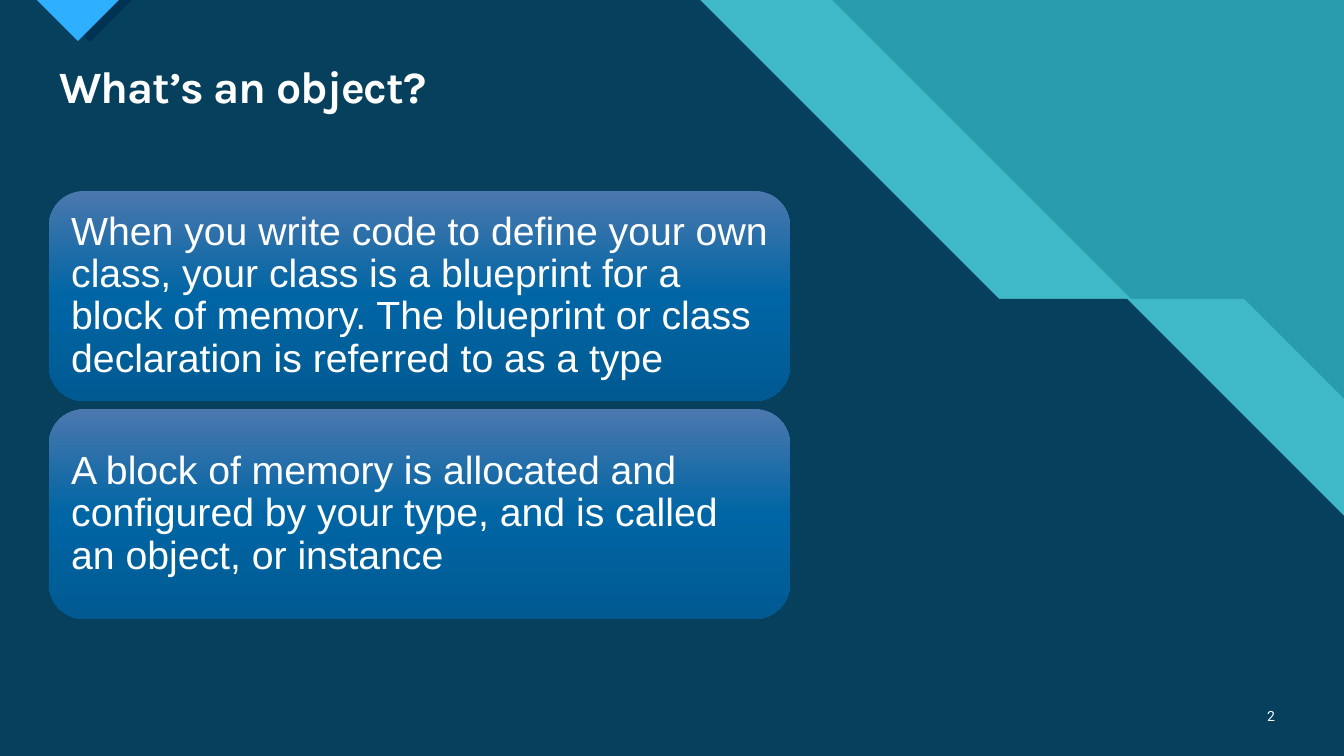
import lxml.etree
import pptx
import pptx.dml.color
import pptx.enum.shapes
import pptx.enum.text
import pptx.oxml
import pptx.oxml.ns
import pptx.util

RGBColor = pptx.dml.color.RGBColor
ANCHOR = pptx.enum.text.MSO_ANCHOR
ALIGN = pptx.enum.text.PP_ALIGN

WIDTH, HEIGHT = 1344, 756
EMU_PER_PX = 914400 / 100.8

TEAL = RGBColor(0x29, 0x9C, 0xAB)
AQUA = RGBColor(0x47, 0xC3, 0xD3)
NAVY = RGBColor(0x00, 0x33, 0x52)
SKY = RGBColor(0x2F, 0xAF, 0xFF)
WHITE = RGBColor(0xFF, 0xFF, 0xFF)
CARD_STOPS = (
    (0, RGBColor(0x4B, 0x78, 0xAE)),
    (50, RGBColor(0x00, 0x65, 0xA4)),
    (100, RGBColor(0x00, 0x5A, 0x92)),
)

CARD_TEXTS = (
    "When you write code to define your own class, your class is a blueprint "
    "for a block of memory. The blueprint or class declaration is referred to as a type",
    "A block of memory is allocated and configured by your type, "
    "and is called an object, or instance",
)


def px(length):
    return pptx.util.Emu(round(length * EMU_PER_PX))


def place(shape, box):
    shape.left, shape.top, shape.width, shape.height = map(px, box)


def write(shape, text, font, size, anchor, margins, align=ALIGN.LEFT, bold=False):
    """Fill a shape with one white paragraph; margins are (horizontal, vertical) px."""
    frame = shape.text_frame
    frame.text = text
    frame.word_wrap = True
    frame.auto_size = pptx.enum.text.MSO_AUTO_SIZE.NONE
    frame.vertical_anchor = anchor
    frame.margin_left = frame.margin_right = px(margins[0])
    frame.margin_top = frame.margin_bottom = px(margins[1])
    para = frame.paragraphs[0]
    para.alignment = align
    span = para.runs[0]
    span.font.name = font
    span.font.size = pptx.util.Pt(size)
    span.font.bold = bold
    span.font.color.rgb = WHITE
    return para


def add_polygon(page, points, color, opacity=100):
    builder = page.shapes.build_freeform(*points[0], scale=EMU_PER_PX)
    builder.add_line_segments(points[1:], close=True)
    shape = builder.convert_to_shape()
    shape.shadow.inherit = False
    shape.line.fill.background()
    shape.fill.solid()
    shape.fill.fore_color.rgb = color
    if opacity < 100:
        tint = shape.fill._xPr.find(".//" + pptx.oxml.ns.qn("a:srgbClr"))
        alpha = lxml.etree.SubElement(tint, pptx.oxml.ns.qn("a:alpha"))
        alpha.set("val", str(opacity * 1000))


def add_backdrop(page, box):
    """Teal ground, two stepped diagonal layers and the marker at the top edge."""
    left, top, width, height = box
    right, bottom = left + width, top + height
    page.background.fill.solid()
    page.background.fill.fore_color.rgb = TEAL
    step = 299
    for start, ledge, color, opacity in ((832, 113, AQUA, 74), (700, 128, NAVY, 90)):
        corner = left + start + step
        edge = top + step + right - corner - ledge
        add_polygon(page, [
            (left, top), (left + start, top), (corner, top + step),
            (corner + ledge, top + step), (right, edge),
            (right, bottom), (left, bottom),
        ], color, opacity)
    for center, depth, color in ((90, 42, NAVY), (78, 41, SKY)):
        add_polygon(page, [
            (left + center - depth, top), (left + center + depth, top),
            (left + center, top + depth),
        ], color)


def add_title(page, box, text):
    title = page.shapes.title
    place(title, box)
    para = write(title, text, "Karla", 32, ANCHOR.MIDDLE, (10, 5), bold=True)
    para.line_spacing = 0.9
    para.runs[0].font._element.set("spc", "-70")


def fill_card(card):
    stops = "".join(
        f'<a:gs pos="{position * 1000}"><a:srgbClr val="{color}"/></a:gs>'
        for position, color in CARD_STOPS
    )
    gradient = pptx.oxml.parse_xml(
        f'<a:gradFill {pptx.oxml.ns.nsdecls("a")} rotWithShape="1">'
        f'<a:gsLst>{stops}</a:gsLst><a:lin ang="5400000" scaled="0"/></a:gradFill>'
    )
    card._element.spPr.find(pptx.oxml.ns.qn("a:prstGeom")).addnext(gradient)


def add_cards(page, box, texts, gap):
    """Stack equal rounded cards, one for each text, inside the box."""
    left, top, width, height = box
    card_height = (height - gap * (len(texts) - 1)) / len(texts)
    for index, text in enumerate(texts):
        card = page.shapes.add_shape(
            pptx.enum.shapes.MSO_SHAPE.ROUNDED_RECTANGLE,
            px(left), px(top + index * (card_height + gap)), px(width), px(card_height),
        )
        card.shadow.inherit = False
        card.line.fill.background()
        fill_card(card)
        para = write(card, text, "Arial", 28, ANCHOR.MIDDLE, (12, 12))
        para.line_spacing = 0.9


def add_page_number(page, box, number):
    label = page.shapes.add_textbox(*map(px, box))
    write(label, str(number), "Roboto", 10, ANCHOR.MIDDLE, (10, 5), ALIGN.RIGHT)


def main():
    deck = pptx.Presentation()
    deck.slide_width, deck.slide_height = px(WIDTH), px(HEIGHT)
    page = deck.slides.add_slide(deck.slide_layouts[5])
    add_backdrop(page, (0, 0, WIDTH, HEIGHT))
    add_title(page, (49, 59, 1236, 60), "What’s an object?")
    # The title placeholder comes first in the tree; raise it above the backdrop.
    page.shapes._spTree.append(page.shapes.title._element)
    add_cards(page, (49, 191, 741, 428), CARD_TEXTS, gap=8)
    add_page_number(page, (1241, 696, 44, 40), 2)
    deck.save("out.pptx")


if __name__ == "__main__":
    main()
